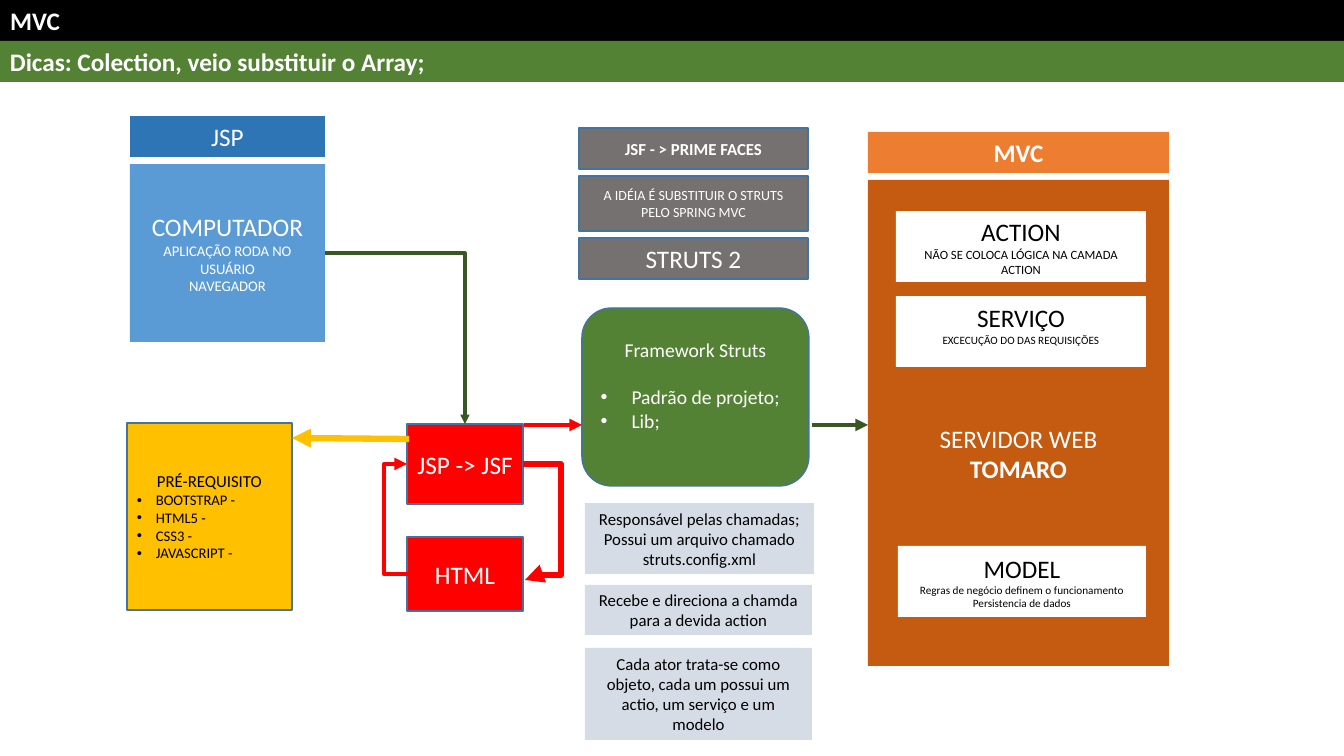
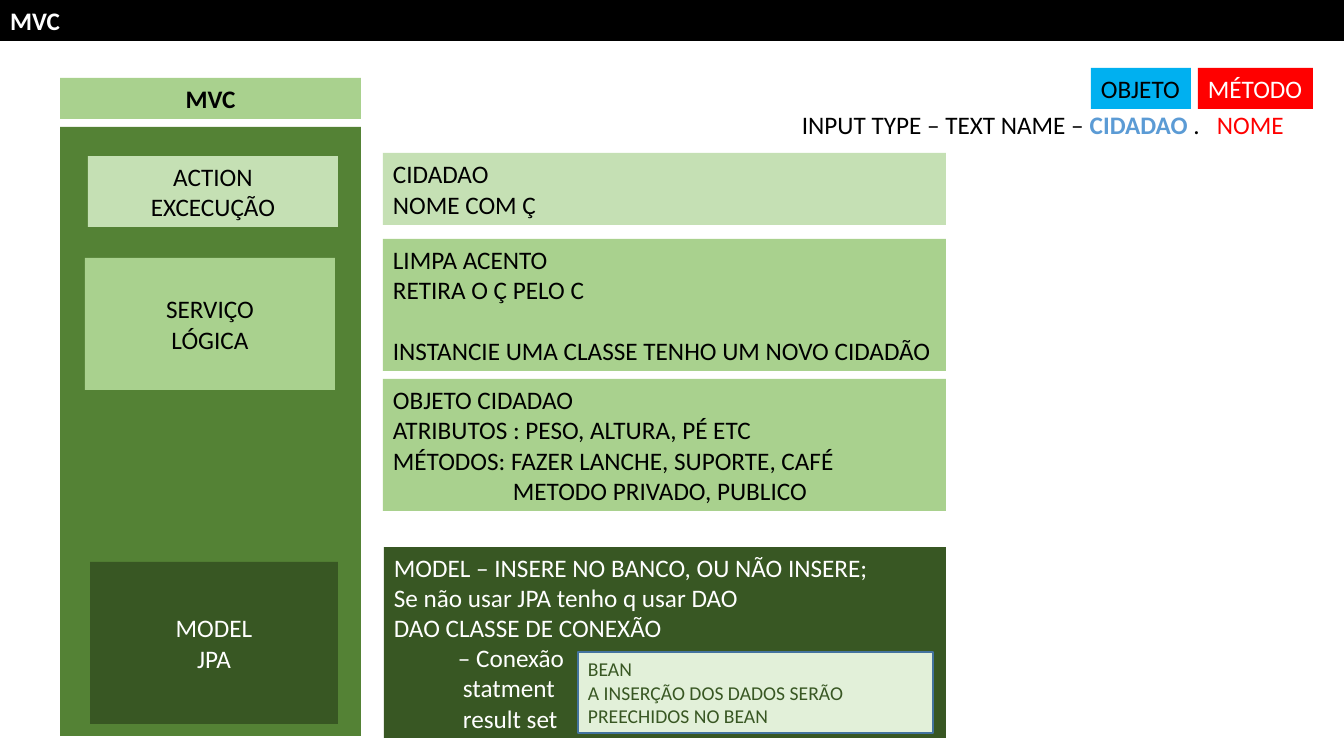
"""Two slides on the MVC pattern: the request flow and the layers in code."""
from lxml.etree import SubElement
from pptx import Presentation
from pptx.dml.color import RGBColor
from pptx.enum.shapes import MSO_CONNECTOR as LINK, MSO_SHAPE as GEOM
from pptx.enum.text import MSO_ANCHOR as ANCHOR, MSO_AUTO_SIZE as FIT, PP_ALIGN as ALIGN
from pptx.oxml.ns import qn
from pptx.util import Pt

PX = 914400 / 100.8
TOP, LEFT, RIGHT = 0, 1, 3


class Theme:
    font = "Calibri"
    head, mid, body, note, hint, small, tiny = 18, 14, 12, 10.5, 10, 9, 8
    black, white, red, amber = "000000", "FFFFFF", "FF0000", "FFC000"
    navy, blue, sky, edge = "2E75B6", "5B9BD5", "00B0F0", "43739E"
    gray, mist, orange, rust = "767171", "D6DCE5", "ED7D31", "C55A11"
    forest, green, leaf, pale, mint = "385723", "548235", "A9D18E", "C5E0B4", "E2F0D9"


def box(slide, at, fill, lines=(), size=Theme.head, rest=None, color=Theme.white, bold=False,
        align=ALIGN.CENTER, edge=None, geom=GEOM.RECTANGLE, wrap=True, indents=None, bullet=False):
    """Draw a filled panel with its paragraphs; `rest` sizes those after the first."""
    panel = slide.shapes.add_shape(geom, *(round(v * PX) for v in at))
    panel.shadow.inherit = False
    panel.fill.solid()
    panel.fill.fore_color.rgb = RGBColor.from_string(fill)
    if edge:
        panel.line.color.rgb = RGBColor.from_string(edge)
        panel.line.width = Pt(1)
    else:
        panel.line.fill.background()
    frame = panel.text_frame
    frame.text = "\n".join(lines)
    frame.word_wrap = wrap
    frame.vertical_anchor = ANCHOR.MIDDLE
    for i, paragraph in enumerate(frame.paragraphs):
        paragraph.alignment = align
        for run in paragraph.runs:
            run.font.name = Theme.font
            run.font.size = Pt(rest if rest and i else size)
            run.font.bold = bold
            run.font.color.rgb = RGBColor.from_string(color)
        if indents and i in indents:
            paragraph.alignment = ALIGN.LEFT
            props = paragraph._p.get_or_add_pPr()
            props.set("marL", str(round(indents[i] * PX)))
            if bullet:
                props.set("indent", str(-round(indents[i] * PX)))
                SubElement(props, qn("a:buFont")).set("typeface", "Arial")
                SubElement(props, qn("a:buChar")).set("char", "•")
    return panel


def arrow(slide, start, end, color, width, preset=None, bend=None, drop=None, source=None, target=None):
    """Draw an arrow; `bend` and `drop` are the x and y where an elbow turns."""
    link = slide.shapes.add_connector(LINK.ELBOW if preset else LINK.STRAIGHT,
                                      *(round(v * PX) for v in (*start, *end)))
    if source:
        link.begin_connect(*source)
    if target:
        link.end_connect(*target)
    link.line.color.rgb = RGBColor.from_string(color)
    link.line.width = Pt(width)
    props = link._element.spPr
    SubElement(link.line._get_or_add_ln(), qn("a:tailEnd")).set("type", "triangle")
    SubElement(props, qn("a:effectLst"))
    if preset:
        geometry = props.find(qn("a:prstGeom"))
        geometry.set("prst", preset)
        guides = geometry.find(qn("a:avLst"))
        if guides is None:
            guides = SubElement(geometry, qn("a:avLst"))
        turns = []
        if bend is not None:
            turns.append((bend * PX - link.begin_x) / (link.end_x - link.begin_x))
        if drop is not None:
            turns.append((drop * PX - link.begin_y) / (link.end_y - link.begin_y))
        for n, turn in enumerate(turns, 1):
            guide = SubElement(guides, qn("a:gd"))
            guide.set("name", f"adj{n}")
            guide.set("fmla", f"val {round(turn * 100000)}")


deck = Presentation()
deck.slide_width, deck.slide_height = round(1344 * PX), round(756 * PX)
flow, layers = (deck.slides.add_slide(deck.slide_layouts[5]) for _ in range(2))
for slide in (flow, layers):
    title = slide.shapes.title
    title.left, title.top, title.width, title.height = 0, 0, deck.slide_width, round(41 * PX)
    title.fill.solid()
    title.fill.fore_color.rgb = RGBColor.from_string(Theme.black)
    title.text_frame.text = "MVC"
    title.text_frame.auto_size = FIT.NONE
    title.text_frame.vertical_anchor = ANCHOR.MIDDLE
    heading = title.text_frame.paragraphs[0]
    heading.alignment = ALIGN.LEFT
    heading.font.name, heading.font.size, heading.font.bold = Theme.font, Pt(Theme.head), True
    heading.font.color.rgb = RGBColor.from_string(Theme.white)

# Slide 1
box(flow, (0, 41, 1344, 41), Theme.green, ["Dicas: Colection, veio substituir o Array;"],
    bold=True, align=ALIGN.LEFT)
box(flow, (130, 116, 195, 41), Theme.navy, ["JSP"], geom=GEOM.FLOWCHART_PROCESS)
computer = box(flow, (130, 164, 195, 178), Theme.blue,
               ["COMPUTADOR", "APLICAÇÃO RODA NO USUÁRIO", "NAVEGADOR"], rest=Theme.note)
jsf = box(flow, (407, 424, 116, 80), Theme.red, ["JSP -> JSF"], edge=Theme.edge)
html = box(flow, (407, 537, 116, 74), Theme.red, ["HTML"], edge=Theme.edge)
box(flow, (127, 423, 165, 187), Theme.amber,
    ["PRÉ-REQUISITO", "BOOTSTRAP -", "HTML5 -", "CSS3 -", "JAVASCRIPT -"], size=Theme.body,
    rest=Theme.note, color=Theme.black, edge=Theme.edge,
    indents=dict.fromkeys(range(1, 5), 19), bullet=True)

for top, height, text, size, bold in (
        (128, 41, "JSF - > PRIME FACES", Theme.body, True),
        (176, 55, "A IDÉIA É SUBSTITUIR O STRUTS PELO SPRING MVC", Theme.hint, False),
        (238, 41, "STRUTS 2", Theme.head, False)):
    box(flow, (579, top, 229, height), Theme.gray, [text], size=size, bold=bold,
        edge=Theme.edge, geom=GEOM.FLOWCHART_PROCESS)
struts = box(flow, (582, 308, 227, 178), Theme.green,
             ["Framework Struts", "Padrão de projeto;", "Lib;"], size=Theme.mid,
             edge=Theme.edge, geom=GEOM.FLOWCHART_ALTERNATE_PROCESS,
             indents={1: 31, 2: 31}, bullet=True)
struts.text_frame.paragraphs[0].space_after = Pt(17)
struts.text_frame.margin_bottom = round(29 * PX)
for top, width, height, lines in (
        (503, 229, 71, ["Responsável pelas chamadas;", "Possui um arquivo chamado struts.config.xml"]),
        (585, 227, 50, ["Recebe e direciona a chamda para a devida action"]),
        (648, 227, 92, ["Cada ator trata-se como objeto, cada um possui um actio, um serviço e um modelo"])):
    box(flow, (585, top, width, height), Theme.mist, lines, size=Theme.body, color=Theme.black)

box(flow, (868, 132, 301, 41), Theme.orange, ["MVC"], bold=True)
server = box(flow, (868, 180, 301, 486), Theme.rust, ["SERVIDOR WEB", "TOMARO"])
server.text_frame.margin_top = round(66 * PX)
server.text_frame.paragraphs[1].runs[0].font.bold = True
for left, top, width, lines, rest, bottom in (
        (896, 211, 250, ["ACTION", "NÃO SE COLOCA LÓGICA NA CAMADA ACTION"], Theme.small, 5),
        (896, 296, 250, ["SERVIÇO", "EXCECUÇÃO DO DAS REQUISIÇÕES"], Theme.tiny, 19),
        (898, 546, 248, ["MODEL", "Regras de negócio definem o funcionamento",
                         "Persistencia de dados"], Theme.tiny, 5)):
    layer = box(flow, (left, top, width, 71), Theme.white, lines, rest=rest, color=Theme.black)
    layer.text_frame.margin_bottom = round(bottom * PX)

arrow(flow, (325, 253), (465, 424), Theme.forest, 2.25, "bentConnector2",
      source=(computer, RIGHT), target=(jsf, TOP))
arrow(flow, (523, 464), (525, 580), Theme.red, 4.5, "bentConnector4", bend=561, drop=575,
      source=(jsf, RIGHT))
arrow(flow, (409, 574), (407, 464), Theme.red, 3, "bentConnector3", bend=384,
      target=(jsf, LEFT))
arrow(flow, (409, 439), (292, 438), Theme.amber, 4.5)
arrow(flow, (524, 425), (582, 425), Theme.red, 3)
arrow(flow, (812, 425), (868, 425), Theme.forest, 3)

# Slide 2
box(layers, (60, 78, 301, 41), Theme.leaf, ["MVC"], color=Theme.black, bold=True)
box(layers, (60, 127, 301, 609), Theme.green)
for at, fill, color, lines in (
        ((88, 156, 250, 71), Theme.pale, Theme.black, ["ACTION", "EXCECUÇÃO"]),
        ((85, 258, 250, 132), Theme.leaf, Theme.black, ["SERVIÇO", "LÓGICA"]),
        ((90, 562, 248, 162), Theme.forest, Theme.white, ["MODEL", "JPA"])):
    box(layers, at, fill, lines, color=color)

box(layers, (383, 153, 563, 72), Theme.pale, ["CIDADAO", "NOME COM Ç"],
    color=Theme.black, align=ALIGN.LEFT)
cleanup = box(layers, (383, 239, 563, 132), Theme.leaf,
              ["LIMPA ACENTO", "RETIRA O Ç PELO C", "INSTANCIE UMA CLASSE TENHO UM NOVO CIDADÃO"],
              color=Theme.black, align=ALIGN.LEFT, wrap=False)
cleanup.text_frame.paragraphs[2].space_before = Pt(22)
box(layers, (383, 379, 563, 132), Theme.leaf,
    ["OBJETO CIDADAO", "ATRIBUTOS : PESO, ALTURA, PÉ ETC",
     "MÉTODOS: FAZER LANCHE, SUPORTE, CAFÉ", "METODO PRIVADO, PUBLICO"],
    color=Theme.black, align=ALIGN.LEFT, indents={3: 120})
box(layers, (384, 547, 562, 191), Theme.forest,
    ["MODEL – INSERE NO BANCO, OU NÃO INSERE;", "Se não usar JPA tenho q usar DAO",
     "DAO CLASSE DE CONEXÃO", "– Conexão", "statment", "result set"],
    align=ALIGN.LEFT, indents={3: 64, 4: 69, 5: 69})
box(layers, (578, 652, 355, 81), Theme.mint,
    ["BEAN", "A INSERÇÃO DOS DADOS SERÃO PREECHIDOS NO BEAN"], size=Theme.mid,
    color=Theme.forest, align=ALIGN.LEFT, edge=Theme.edge, geom=GEOM.FLOWCHART_PROCESS)

for left, width, fill, color, text in ((1091, 100, Theme.sky, Theme.black, "OBJETO"),
                                       (1198, 115, Theme.red, Theme.white, "MÉTODO")):
    box(layers, (left, 68, width, 41), fill, [text], color=color, align=ALIGN.LEFT, wrap=False)

field = layers.shapes.add_textbox(*(round(v * PX) for v in (792, 104, 507, 41)))
field.text_frame.word_wrap = True
naming = field.text_frame.paragraphs[0]
for text, color, bold in (("INPUT TYPE – TEXT NAME – ", Theme.black, False),
                          ("CIDADAO", Theme.blue, True),
                          (" .\t", Theme.black, False),
                          ("NOME", Theme.red, False)):
    part = naming.add_run()
    part.text = text
    part.font.name, part.font.size, part.font.bold = Theme.font, Pt(Theme.head), bold
    part.font.color.rgb = RGBColor.from_string(color)
stop = SubElement(SubElement(naming._p.get_or_add_pPr(), qn("a:tabLst")), qn("a:tab"))
stop.set("pos", str(round(415 * PX)))
stop.set("algn", "l")

deck.save("out.pptx")
